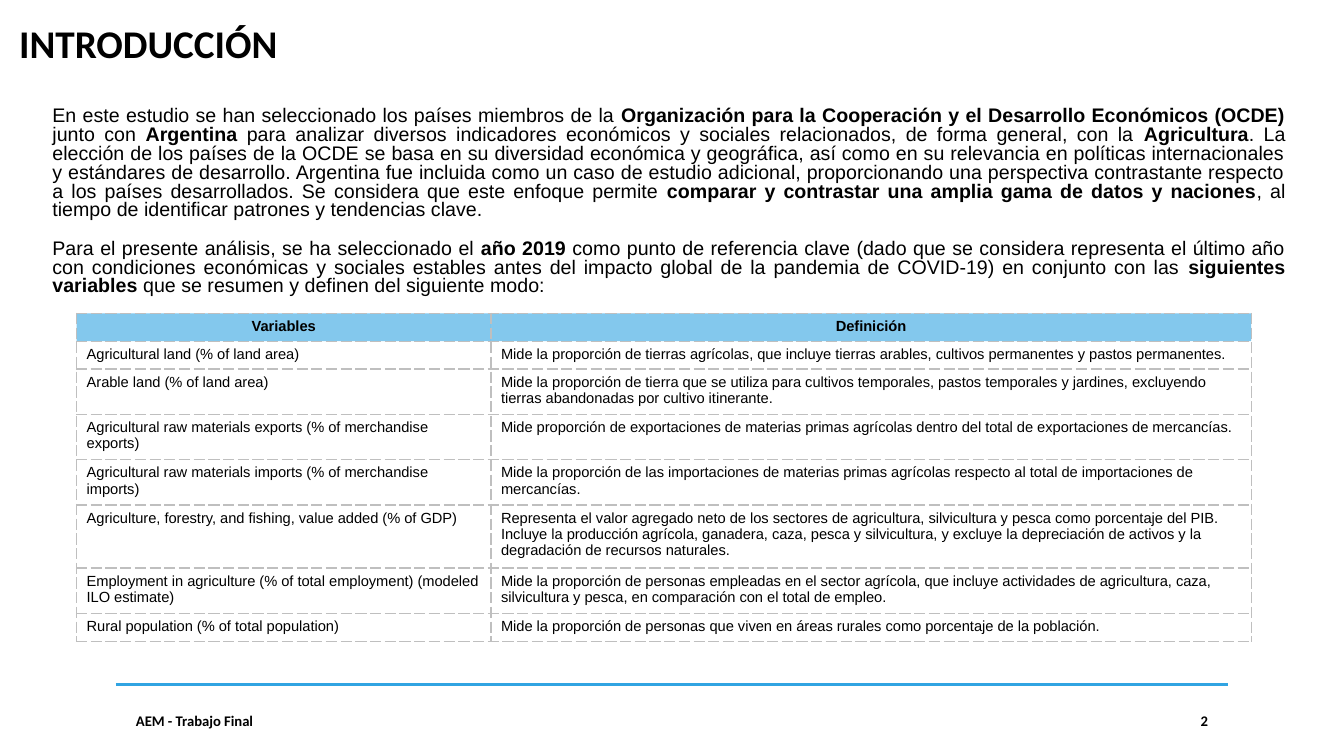
from lxml import etree
from pptx import Presentation
from pptx.dml.color import RGBColor
from pptx.enum.shapes import MSO_CONNECTOR
from pptx.enum.text import MSO_ANCHOR, PP_ALIGN
from pptx.oxml import parse_xml
from pptx.oxml.ns import nsdecls, qn
from pptx.util import Pt

PX = 9144
STRAIGHT = MSO_CONNECTOR.STRAIGHT
TOP, MIDDLE = MSO_ANCHOR.TOP, MSO_ANCHOR.MIDDLE
LEFT, CENTER, RIGHT, JUSTIFY = PP_ALIGN.LEFT, PP_ALIGN.CENTER, PP_ALIGN.RIGHT, PP_ALIGN.JUSTIFY
BLACK = RGBColor(0x00, 0x00, 0x00)
BLUE = RGBColor(0x31, 0xA4, 0xE2)
BORDER_GREY = RGBColor(0xBF, 0xBF, 0xBF)
HEADER_OPACITY = 60

TITLE_FONT = {"name": "Calibri", "size": Pt(28), "bold": True}
FOOTER_FONT = {"name": "Calibri", "size": Pt(10.5), "bold": True}
BODY_FONT = {"name": "Arial", "size": Pt(14)}
CELL_FONT = {"name": "Arial", "size": Pt(10.5)}
BODY_SPACING = {"alignment": JUSTIFY, "line_spacing": 0.8,
                "space_before": Pt(12), "space_after": Pt(2)}

INTRODUCTION = [
    [("En este estudio se han seleccionado los países miembros de la ", False),
     ("Organización para la Cooperación y el Desarrollo Económicos (OCDE)", True),
     (" junto con ", False),
     ("Argentina", True),
     (" para analizar diversos indicadores económicos y sociales relacionados, "
      "de forma general, con la ", False),
     ("Agricultura", True),
     (". La elección de los países de la OCDE se basa en su diversidad económica y "
      "geográfica, así como en su relevancia en políticas internacionales y estándares "
      "de desarrollo. Argentina fue incluida como un caso de estudio adicional, "
      "proporcionando una perspectiva contrastante respecto a los países desarrollados. "
      "Se considera que este enfoque permite ", False),
     ("comparar y contrastar una amplia gama de datos y naciones", True),
     (", al tiempo de identificar patrones y tendencias clave. ", False)],
    [("Para el presente análisis, se ha seleccionado el ", False),
     ("año 2019 ", True),
     ("como punto de referencia clave (dado que se considera representa el último año "
      "con condiciones económicas y sociales estables antes del impacto global de la "
      "pandemia de COVID-19) en conjunto con las ", False),
     ("siguientes variables ", True),
     ("que se resumen y definen del siguiente modo:", False)],
]

VARIABLES = [
    ("Variables", "Definición", 1),
    ("Agricultural land (% of land area)",
     "Mide la proporción de tierras agrícolas, que incluye tierras arables, cultivos "
     "permanentes y pastos permanentes.", 1),
    ("Arable land (% of land area)",
     "Mide la proporción de tierra que se utiliza para cultivos temporales, pastos "
     "temporales y jardines, excluyendo tierras abandonadas por cultivo itinerante.", 2),
    ("Agricultural raw materials exports (% of merchandise exports)",
     "Mide proporción de exportaciones de materias primas agrícolas dentro del total de "
     "exportaciones de mercancías.", 2),
    ("Agricultural raw materials imports (% of merchandise imports)",
     "Mide la proporción de las importaciones de materias primas agrícolas respecto al "
     "total de importaciones de mercancías.", 2),
    ("Agriculture, forestry, and fishing, value added (% of GDP)",
     "Representa el valor agregado neto de los sectores de agricultura, silvicultura y "
     "pesca como porcentaje del PIB. Incluye la producción agrícola, ganadera, caza, pesca "
     "y silvicultura, y excluye la depreciación de activos y la degradación de recursos "
     "naturales.", 3),
    ("Employment in agriculture (% of total employment) (modeled ILO estimate)",
     "Mide la proporción de personas empleadas en el sector agrícola, que incluye "
     "actividades de agricultura, caza, silvicultura y pesca, en comparación con el total "
     "de empleo.", 2),
    ("Rural population (% of total population)",
     "Mide la proporción de personas que viven en áreas rurales como porcentaje de la "
     "población.", 1),
]


def scale(*lengths):
    """Turn px lengths into EMU."""
    return [length * PX for length in lengths]


def set_attributes(target, values):
    """Set each attribute of the target from a dict."""
    for name, value in values.items():
        setattr(target, name, value)


def add_run(paragraph, text, font):
    """Append a formatted black run."""
    run = paragraph.add_run()
    run.text = text
    set_attributes(run.font, font)
    run.font.color.rgb = BLACK


def add_title(slide, box, text):
    """Place and fill the title placeholder."""
    title = slide.shapes.title
    set_attributes(title, dict(zip(("left", "top", "width", "height"), scale(*box))))
    set_attributes(title.text_frame, {"word_wrap": True, "vertical_anchor": TOP})
    paragraph = title.text_frame.paragraphs[0]
    paragraph.alignment = LEFT
    add_run(paragraph, text, TITLE_FONT)


def add_introduction(slide, box, paragraphs):
    """Write the justified paragraphs with bold key terms."""
    frame = slide.shapes.add_textbox(*scale(*box)).text_frame
    inset = 5 * PX
    set_attributes(frame, {"word_wrap": True, "margin_left": 3 * inset, "margin_right": inset,
                           "margin_top": inset, "margin_bottom": inset})
    for index, runs in enumerate(paragraphs):
        paragraph = frame.add_paragraph() if index else frame.paragraphs[0]
        set_attributes(paragraph, BODY_SPACING)
        for text, bold in runs:
            add_run(paragraph, text, {**BODY_FONT, "bold": bold})


def add_borders(cell):
    """Draw dashed grey borders around a cell."""
    properties = cell._tc.get_or_add_tcPr()
    for side in "LRTB":
        properties.append(parse_xml(
            f'<a:ln{side} {nsdecls("a")} w="{Pt(1)}"><a:solidFill>'
            f'<a:srgbClr val="{BORDER_GREY}"/></a:solidFill>'
            f'<a:prstDash val="sysDash"/></a:ln{side}>'))


def fill_header(cell):
    """Give a header cell its translucent blue fill."""
    cell.fill.solid()
    cell.fill.fore_color.rgb = BLUE
    color = cell._tc.tcPr.find(qn("a:solidFill")).find(qn("a:srgbClr"))
    etree.SubElement(color, qn("a:alpha"), val=str(HEADER_OPACITY * 1000))


def add_variables_table(slide, box, rows):
    """Build the table, with row heights set by the number of text lines."""
    left, top, width = box
    heights = [10 + 16 * lines for *_, lines in rows]
    table = slide.shapes.add_table(
        len(rows), 2, *scale(left, top, width, sum(heights))).table
    table.horz_banding = False
    name_width = 411
    for column, column_width in zip(table.columns, (name_width, width - name_width)):
        column.width = column_width * PX
    for row_index, (*texts, _) in enumerate(rows):
        table.rows[row_index].height = heights[row_index] * PX
        header = row_index == 0
        for column_index, text in enumerate(texts):
            cell = table.cell(row_index, column_index)
            add_borders(cell)
            if header:
                fill_header(cell)
            else:
                cell.fill.background()
            paragraph = cell.text_frame.paragraphs[0]
            paragraph.alignment = CENTER if header else LEFT
            add_run(paragraph, text, {**CELL_FONT, "bold": header})


def add_footer(slide, box, text, number):
    """Draw the rule with the footer text and page number below it."""
    left, top, width = box
    rule = slide.shapes.add_connector(STRAIGHT, *scale(left, top, left + width, top))
    rule.line.color.rgb = BLUE
    rule.line.width = Pt(2)
    etree.SubElement(rule._element.spPr, qn("a:effectLst"))
    margin, number_width = 10, 68
    number_left = left + width - margin - number_width
    for label, label_left, label_width, alignment in (
            (text, left + margin, 433, LEFT), (number, number_left, number_width, RIGHT)):
        frame = slide.shapes.add_textbox(*scale(label_left, top + 16, label_width, 40)).text_frame
        set_attributes(frame, {"word_wrap": True, "vertical_anchor": MIDDLE})
        frame.paragraphs[0].alignment = alignment
        add_run(frame.paragraphs[0], label, FOOTER_FONT)


def main():
    """Build and save the slide."""
    presentation = Presentation()
    presentation.slide_width, presentation.slide_height = scale(1333, 750)
    slide = presentation.slides.add_slide(presentation.slide_layouts[5])
    add_footer(slide, (115, 679, 1103), "AEM - Trabajo Final", "2")
    add_introduction(slide, (37, 102, 1243, 207), INTRODUCTION)
    add_variables_table(slide, (76, 311, 1165), VARIABLES)
    add_title(slide, (9, 14, 1212, 57), "INTRODUCCIÓN")
    presentation.save("out.pptx")


if __name__ == "__main__":
    main()
